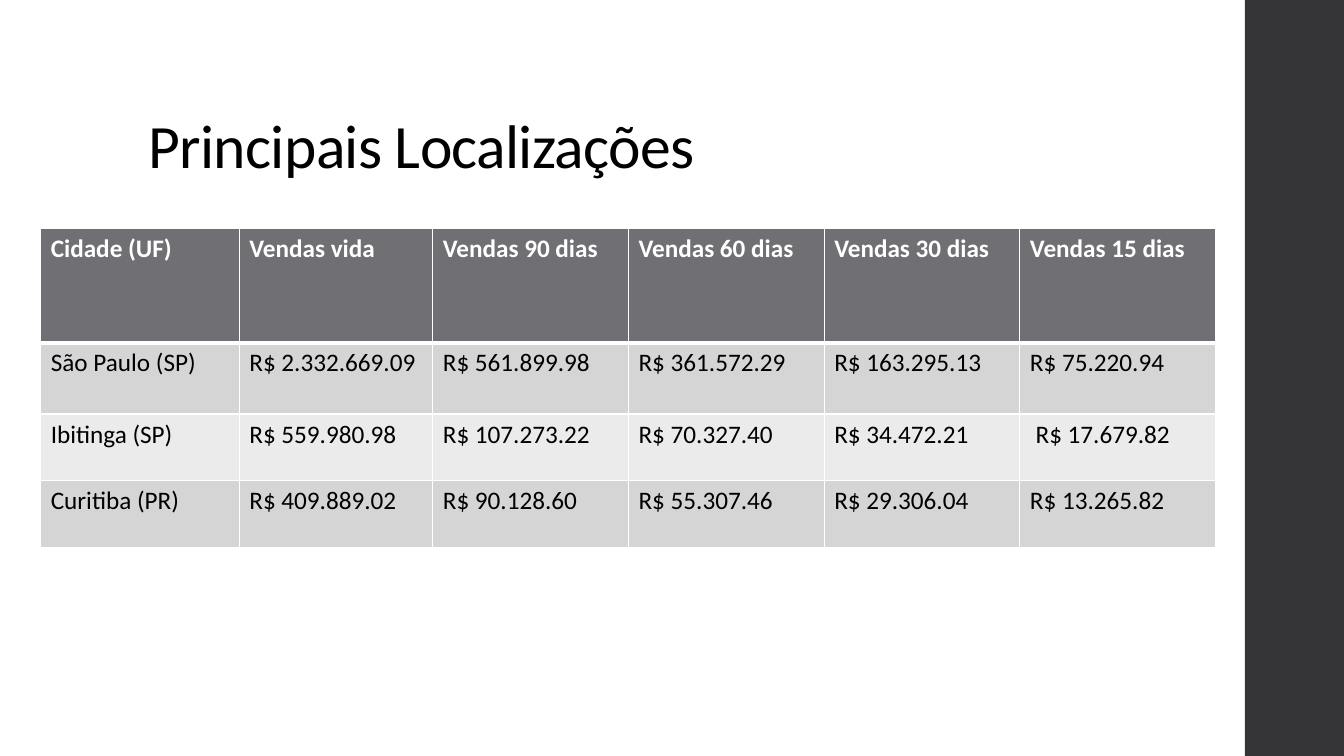
"""Build the slide on sales by main location."""
from dataclasses import dataclass

from lxml.etree import SubElement
from pptx import Presentation
from pptx.dml.color import RGBColor
from pptx.enum.shapes import MSO_SHAPE
from pptx.enum.text import MSO_ANCHOR
from pptx.oxml.ns import qn
from pptx.slide import Slide
from pptx.table import _Cell as Cell
from pptx.text.text import Font
from pptx.util import Emu, Inches, Pt

GRID_COLUMNS, GRID_ROWS = 160, 90
UNIT = Inches(1) / 12


@dataclass(frozen=True)
class Theme:
    font: str = "Calibri"
    ink: str = "000000"
    paper: str = "FFFFFF"
    band: str = "353537"
    header: str = "6F6F74"
    odd_row: str = "D5D5D6"
    even_row: str = "EBEBEB"
    title_size: int = 44
    table_size: int = 18
    title_spacing: float = -0.5
    thin_border: int = 1
    thick_border: int = 3


@dataclass(frozen=True)
class Area:
    column: float
    row: float
    columns: float
    rows: float

    def bounds(self) -> tuple[Emu, Emu, Emu, Emu]:
        return (grid(self.column), grid(self.row),
                grid(self.columns), grid(self.rows))


@dataclass(frozen=True)
class Location:
    city: str
    sales: tuple[str, ...]
    height: float


THEME = Theme()
BAND = Area(148.2, 0, 11.8, GRID_ROWS)
TITLE = Area(16.5, 4.8, 127.2, 17.4)
COLUMN_WIDTHS = (23.64, 23.04) + (23.3,) * 4
HEADER = Location(
    "Cidade (UF)",
    ("Vendas vida", *(f"Vendas {days} dias" for days in (90, 60, 30, 15))),
    13.6,
)
LOCATIONS = (
    Location("São Paulo (SP)", ("R$ 2.332.669.09", "R$ 561.899.98", "R$ 361.572.29",
                                "R$ 163.295.13", "R$ 75.220.94"), 8.5),
    Location("Ibitinga (SP)", ("R$ 559.980.98", "R$ 107.273.22", "R$ 70.327.40",
                               "R$ 34.472.21", " R$ 17.679.82"), 7.95),
    Location("Curitiba (PR)", ("R$ 409.889.02", "R$ 90.128.60", "R$ 55.307.46",
                               "R$ 29.306.04", "R$ 13.265.82"), 7.95),
)
TABLE_ROWS = (HEADER, *LOCATIONS)
TABLE = Area(4.85, 27.2, sum(COLUMN_WIDTHS), sum(row.height for row in TABLE_ROWS))


def grid(units: float) -> Emu:
    return Emu(round(units * UNIT))


def style_font(font: Font, size: int, color: str, bold: bool = False) -> None:
    font.name = THEME.font
    font.size = Pt(size)
    font.bold = bold
    font.color.rgb = RGBColor.from_string(color)


def draw_band(page: Slide) -> None:
    band = page.shapes.add_shape(MSO_SHAPE.RECTANGLE, *BAND.bounds())
    band.shadow.inherit = False
    band.fill.solid()
    band.fill.fore_color.rgb = RGBColor.from_string(THEME.band)
    band.line.fill.background()


def draw_title(page: Slide) -> None:
    box = page.shapes.add_textbox(*TITLE.bounds())
    frame = box.text_frame
    frame.word_wrap = True
    frame.vertical_anchor = MSO_ANCHOR.BOTTOM
    para = frame.paragraphs[0]
    para.line_spacing = 0.9
    style_font(para.font, THEME.title_size, THEME.ink)
    span = para.add_run()
    span.text = "Principais Localizações"
    span._r.get_or_add_rPr().set("spc", str(round(THEME.title_spacing * 100)))


def draw_borders(cell: Cell, top: int, bottom: int) -> None:
    properties = cell._tc.get_or_add_tcPr()
    widths = {"a:lnL": THEME.thin_border, "a:lnR": THEME.thin_border,
              "a:lnT": top, "a:lnB": bottom}
    for tag, width in widths.items():
        line = SubElement(properties, qn(tag), w=str(Pt(width)))
        fill = SubElement(line, qn("a:solidFill"))
        SubElement(fill, qn("a:srgbClr"), val=THEME.paper)


def draw_cell(cell: Cell, text: str, row_index: int) -> None:
    is_header = row_index == 0
    top = THEME.thick_border if row_index == 1 else THEME.thin_border
    bottom = THEME.thick_border if is_header else THEME.thin_border
    draw_borders(cell, top, bottom)
    row_fill = THEME.odd_row if row_index % 2 else THEME.even_row
    cell.fill.solid()
    cell.fill.fore_color.rgb = RGBColor.from_string(
        THEME.header if is_header else row_fill)
    cell.text = text
    style_font(cell.text_frame.paragraphs[0].font, THEME.table_size,
               THEME.paper if is_header else THEME.ink, is_header)


def draw_table(page: Slide) -> None:
    table = page.shapes.add_table(
        len(TABLE_ROWS), len(COLUMN_WIDTHS), *TABLE.bounds()).table
    for column, width in zip(table.columns, COLUMN_WIDTHS):
        column.width = grid(width)
    for row_index, location in enumerate(TABLE_ROWS):
        row = table.rows[row_index]
        row.height = grid(location.height)
        for cell, text in zip(row.cells, (location.city, *location.sales)):
            draw_cell(cell, text, row_index)


def main() -> None:
    deck = Presentation()
    deck.slide_width = grid(GRID_COLUMNS)
    deck.slide_height = grid(GRID_ROWS)
    page = deck.slides.add_slide(deck.slide_layouts[6])
    draw_band(page)
    draw_title(page)
    draw_table(page)
    deck.save("out.pptx")


if __name__ == "__main__":
    main()
